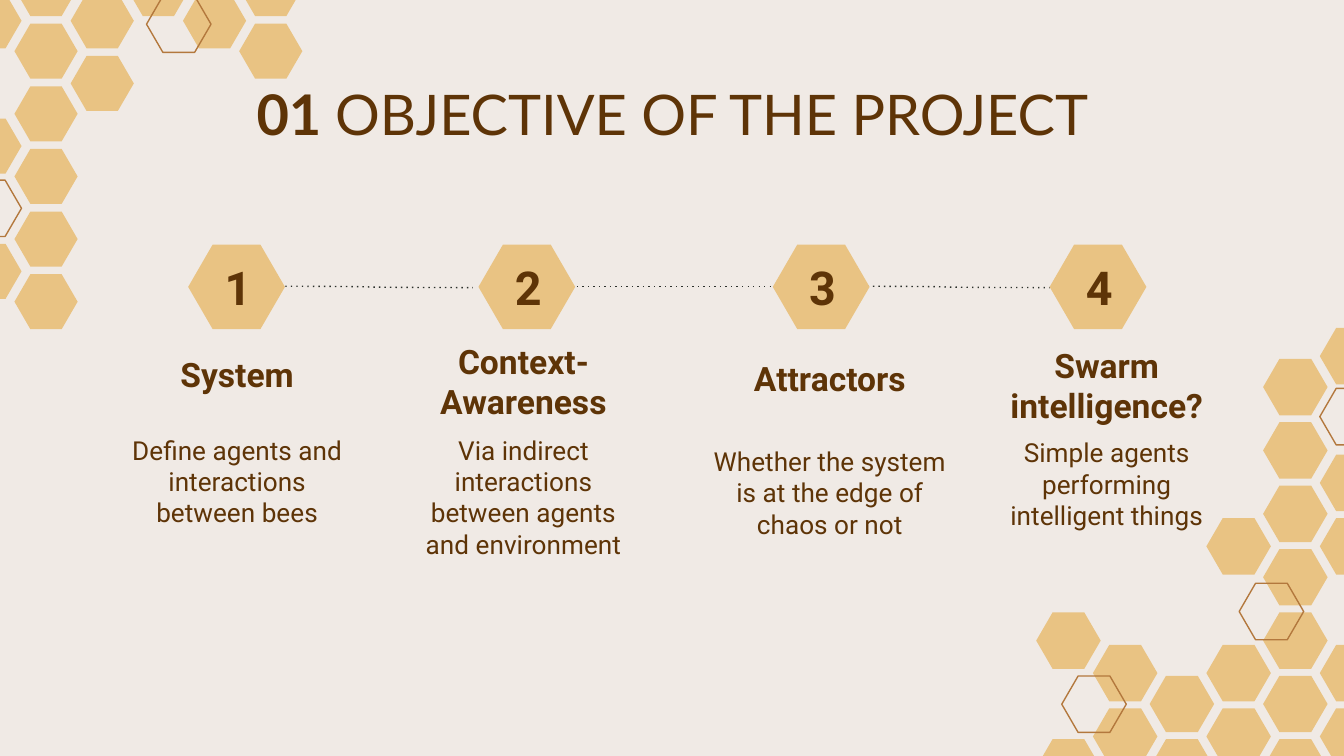
from dataclasses import dataclass

from lxml import etree
from pptx import Presentation
from pptx.dml.color import RGBColor
from pptx.enum.shapes import MSO_CONNECTOR, MSO_SHAPE
from pptx.enum.text import MSO_ANCHOR, PP_ALIGN
from pptx.oxml.ns import qn
from pptx.util import Inches, Pt

HEXAGON = MSO_SHAPE.HEXAGON
CURVE = MSO_CONNECTOR.CURVE
CENTER = PP_ALIGN.CENTER
TOP, MIDDLE = MSO_ANCHOR.TOP, MSO_ANCHOR.MIDDLE

COLORS = {
    "background": "F0EAE5",
    "honey": "E9C383",
    "outline": "B3783D",
    "text": "5E3407",
    "dots": "2B302B",
}
OUTLINED_SIZE = (0.48, 0.42)
STEP_SIZE = (0.72, 0.63)
STEP_TOP = 1.82
LINK_TOP = 2.13
COLUMN_WIDTH = 1.93


@dataclass(frozen=True)
class Honeycomb:
    left: float
    even_top: float  # first row of columns 0, 2, 4
    odd_top: float  # first row of columns 1, 3, 5
    column_pitch: float
    row_pitch: float
    cell_size: tuple[float, float]
    columns: tuple[tuple[int, ...], ...]  # filled rows of each column


@dataclass(frozen=True)
class Step:
    number: str
    heading: str
    body: str
    hexagon_left: float
    text_left: float
    heading_top: float
    body_top: float
    body_height: float


@dataclass(frozen=True)
class Link:
    start: float
    end: float
    drop: float


HONEYCOMBS = (
    Honeycomb(7.71, 2.67, 2.44, 2.11 / 5, 2.83 / 6, (0.48, 0.42),
              ((4, 6), (5, 6), (5, 6), (3, 5, 6), tuple(range(7)), (0, 2, 3, 5, 6))),
    Honeycomb(-0.31, -0.05, -0.29, 2.09 / 5, 2.33 / 5, (0.47, 0.41),
              ((0, 2, 4), tuple(range(6)), (0, 1), (0,), (0,), (0, 1))),
)
OUTLINED_CELLS = ((-0.32, 1.34), (9.22, 4.34), (9.82, 2.89), (7.9, 5.03), (1.09, -0.03))

STEPS = (
    Step("1", "System", "Define agents and interactions between bees",
         1.4, 0.8, 2.59, 3.3, 0.56),
    Step("2", "Context-Awareness", "Via indirect interactions between agents and environment",
         3.56, 2.93, 2.64, 3.19, 1.01),
    Step("3", "Attractors", "Whether the system is at the edge of chaos or not",
         5.75, 5.21, 2.62, 3.16, 1.01),
    Step("4", "Swarm intelligence?", "Simple agents performing intelligent things",
         7.81, 7.27, 2.67, 3.32, 0.56),
)
LINKS = (Link(1.96, 3.52, 0.01), Link(4.17, 5.87, 0), Link(6.25, 7.81, 0.01))


def color(name: str) -> RGBColor:
    return RGBColor.from_string(COLORS[name])


def add_hexagon(slide, left: float, top: float, size: tuple[float, float],
                filled: bool = True) -> None:
    shape = slide.shapes.add_shape(HEXAGON, Inches(left), Inches(top), *map(Inches, size))
    shape.adjustments[0] = 0.29
    shape.shadow.inherit = False
    if filled:
        shape.fill.solid()
        shape.fill.fore_color.rgb = color("honey")
        shape.line.fill.background()
    else:
        shape.fill.background()
        shape.line.color.rgb = color("outline")
        shape.line.width = Pt(0.75)


def add_honeycomb(slide, comb: Honeycomb) -> None:
    for column, rows in enumerate(comb.columns):
        first_top = comb.odd_top if column % 2 else comb.even_top
        for row in rows:
            add_hexagon(slide, comb.left + column * comb.column_pitch,
                        first_top + row * comb.row_pitch, comb.cell_size)


def add_link(slide, link: Link) -> None:
    connector = slide.shapes.add_connector(
        CURVE, Inches(link.start), Inches(LINK_TOP),
        Inches(link.end), Inches(LINK_TOP + link.drop))
    connector.line.color.rgb = color("dots")
    connector.line.width = Pt(0.75)
    # The plain "dot" dash has no enum member
    properties = connector._element.spPr
    etree.SubElement(properties.find(qn("a:ln")), qn("a:prstDash"), val="dot")
    etree.SubElement(properties, qn("a:effectLst"))


def style_font(font, name: str, size: float, bold: bool) -> None:
    font.name = name
    font.size = Pt(size)
    font.bold = bold
    font.color.rgb = color("text")


def add_text(slide, box: tuple[float, float, float, float], text: str, size: float,
             bold: bool = False, font_name: str = "Roboto", anchor=MIDDLE):
    text_frame = slide.shapes.add_textbox(*map(Inches, box)).text_frame
    text_frame.word_wrap = True
    text_frame.vertical_anchor = anchor
    text_frame.margin_left = text_frame.margin_right = Inches(0.1)
    text_frame.margin_top = text_frame.margin_bottom = Inches(0.1)
    text_frame.text = text
    paragraph = text_frame.paragraphs[0]
    paragraph.alignment = CENTER
    style_font(paragraph.runs[0].font, font_name, size, bold)
    return paragraph


def add_step(slide, step: Step) -> None:
    add_hexagon(slide, step.hexagon_left, STEP_TOP, STEP_SIZE)
    add_text(slide, (step.hexagon_left + 0.12, 1.94, 0.5, 0.39), step.number, 25, bold=True)
    add_text(slide, (step.text_left, step.heading_top, COLUMN_WIDTH, 0.39),
             step.heading, 18, bold=True)
    add_text(slide, (step.text_left, step.body_top, COLUMN_WIDTH, step.body_height),
             step.body, 14)


def main() -> None:
    presentation = Presentation()
    presentation.slide_width = Inches(10)
    presentation.slide_height = Inches(10 * 9 / 16)
    slide = presentation.slides.add_slide(presentation.slide_layouts[6])
    slide.background.fill.solid()
    slide.background.fill.fore_color.rgb = color("background")

    # Honeycomb corners
    for comb in HONEYCOMBS:
        add_honeycomb(slide, comb)
    for left, top in OUTLINED_CELLS:
        add_hexagon(slide, left, top, OUTLINED_SIZE, filled=False)

    # Title with a bold section number
    title = add_text(slide, (0.79, 0.49, 8.43, 0.63), "01 ", 30, bold=True,
                     font_name="Lato", anchor=TOP)
    title_run = title.add_run()
    title_run.text = "OBJECTIVE OF THE PROJECT"
    style_font(title_run.font, "Lato", 30, False)

    # Dotted links run behind the numbered steps
    for link in LINKS:
        add_link(slide, link)
    for step in STEPS:
        add_step(slide, step)

    presentation.save("out.pptx")


if __name__ == "__main__":
    main()
